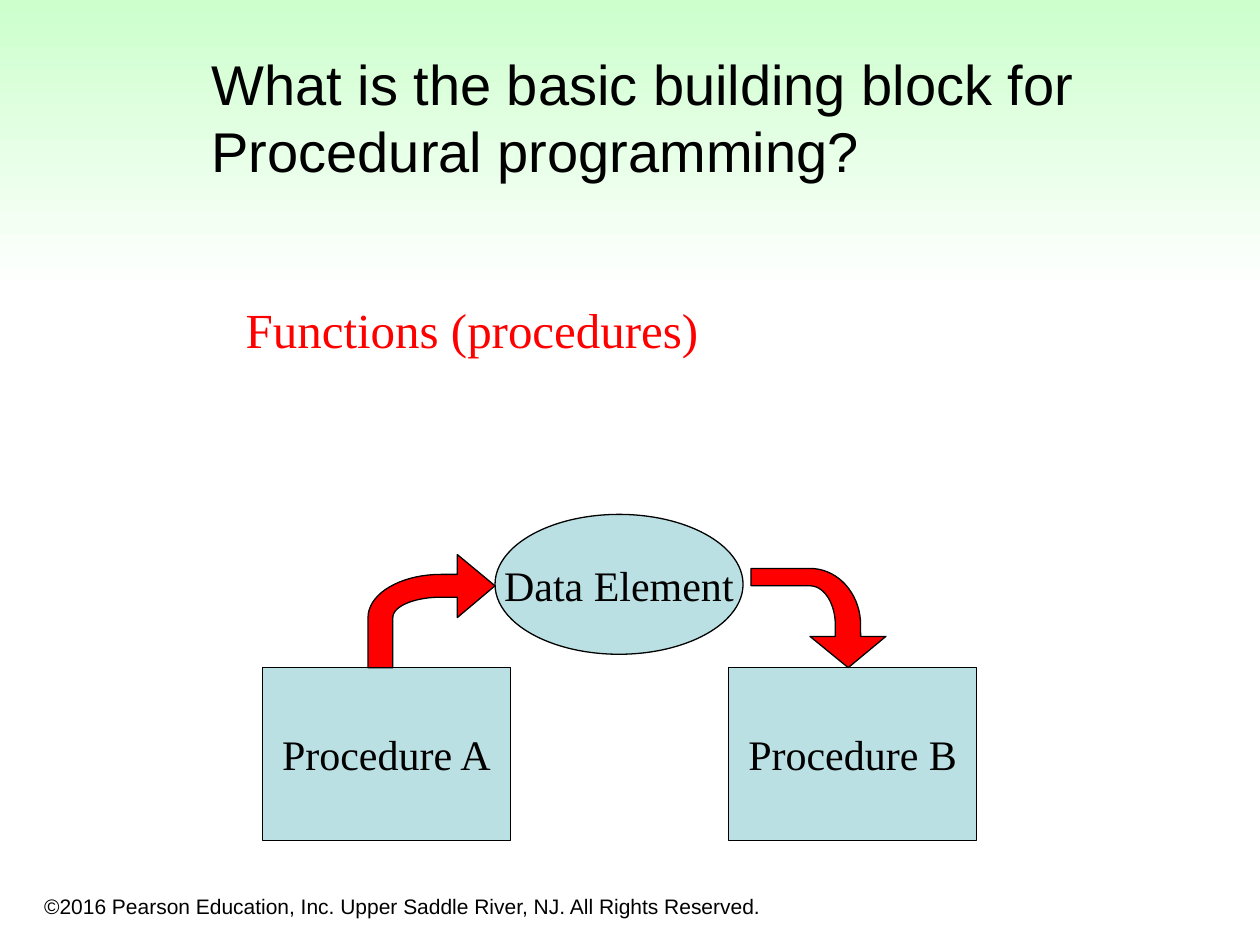
from dataclasses import dataclass
from math import cos, radians, sin

from pptx import Presentation
from pptx.dml.color import RGBColor as RGB
from pptx.enum.shapes import MSO_SHAPE as Kind
from pptx.enum.text import MSO_ANCHOR as Anchor, MSO_AUTO_SIZE as Fit, PP_ALIGN as Align
from pptx.util import Cm, Pt

Point = tuple[float, float]


@dataclass(frozen=True)
class Theme:
    ink: RGB = RGB(0, 0, 0)
    node: RGB = RGB(0xBB, 0xE0, 0xE3)
    red: RGB = RGB(0xFF, 0, 0)
    mint: RGB = RGB(0xCC, 0xFF, 0xCC)
    white: RGB = RGB(0xFF, 0xFF, 0xFF)
    sans: str = "Arial"
    serif: str = "Times New Roman"
    title: int = 32
    answer: int = 28
    label: int = 24
    foot: int = 12
    line: float = 0.75


@dataclass(frozen=True)
class Box:
    """A place on the slide, in centimetres."""
    left: float
    top: float
    width: float
    height: float

    def cm(self) -> tuple:
        return Cm(self.left), Cm(self.top), Cm(self.width), Cm(self.height)


@dataclass(frozen=True)
class Node:
    text: str
    kind: Kind
    box: Box


LOOK = Theme()
NODES = [
    Node("Procedure A", Kind.RECTANGLE, Box(5.29, 13.46, 5, 3.48)),
    Node("Data Element", Kind.OVAL, Box(9.98, 10.37, 5, 2.82)),
    Node("Procedure B", Kind.RECTANGLE, Box(14.69, 13.46, 5, 3.48)),
]


def style(frame, text: str, font: str, size: int, color: RGB,
          align=Align.LEFT, anchor=Anchor.MIDDLE, wrap: bool = True) -> None:
    frame.text = text
    frame.auto_size = Fit.NONE
    frame.word_wrap = wrap
    frame.vertical_anchor = anchor
    for para in frame.paragraphs:
        para.alignment = align
        for run in para.runs:
            run.font.name = font
            run.font.size = Pt(size)
            run.font.color.rgb = color


def paint(shape, color: RGB) -> None:
    shape.shadow.inherit = False
    shape.fill.solid()
    shape.fill.fore_color.rgb = color
    shape.line.color.rgb = LOOK.ink
    shape.line.width = Pt(LOOK.line)


def add_band(slide) -> None:
    """Put the fading band behind everything else."""
    band = slide.shapes.add_shape(Kind.RECTANGLE, *Box(0, 0, 25.4, 5.9).cm())
    band.shadow.inherit = False
    band.line.fill.background()
    band.fill.gradient()
    band.fill.gradient_angle = 270
    for stop, color in zip(band.fill.gradient_stops, (LOOK.mint, LOOK.white)):
        stop.color.rgb = color
    slide.shapes._spTree.insert(2, band._element)


def add_node(group, node: Node) -> None:
    shape = group.shapes.add_shape(node.kind, *node.box.cm())
    paint(shape, LOOK.node)
    style(shape.text_frame, node.text, LOOK.serif, LOOK.label, LOOK.ink,
          Align.CENTER, wrap=False)


def arc(mid: Point, rx: float, ry: float, start: int, end: int) -> list[Point]:
    """Points on an ellipse, with angles in degrees from the right, upwards."""
    steps = 18
    turns = [radians(start + (end - start) * i / steps) for i in range(steps + 1)]
    return [(mid[0] + rx * cos(t), mid[1] - ry * sin(t)) for t in turns]


def add_arrow(group, points: list[Point]) -> None:
    first, *rest = [(Cm(x), Cm(y)) for x, y in points]
    pen = group.shapes.build_freeform(*first)
    pen.add_line_segments(rest, close=True)
    paint(pen.convert_to_shape(), LOOK.red)


def add_note(slide, box: Box, text: str, *args, **opts) -> None:
    style(slide.shapes.add_textbox(*box.cm()).text_frame, text, *args, **opts)


def main() -> None:
    deck = Presentation()
    deck.slide_width, deck.slide_height = Cm(25.4), Cm(19.05)
    slide = deck.slides.add_slide(deck.slide_layouts[5])
    add_band(slide)

    title = slide.shapes.title
    title.left, title.top, title.width, title.height = Box(4.01, 1.07, 19.89, 2.77).cm()
    style(title.text_frame,
          "What is the basic building block for\nProcedural programming?",
          LOOK.sans, LOOK.title, LOOK.ink, anchor=Anchor.BOTTOM)

    group = slide.shapes.add_group_shape()
    for node in NODES:
        add_node(group, node)

    bend = (8.89, 12.45)
    add_arrow(group, [
        (9.98, 11.81), (9.22, 11.18), (9.22, 11.58),
        *arc(bend, 1.47, 0.87, 90, 180),
        (7.42, 13.46), (7.92, 13.46),
        *arc(bend, 0.97, 0.41, 180, 90),
        (9.22, 12.04), (9.22, 12.45),
    ])
    bend = (16.33, 12.6)
    add_arrow(group, [
        (17.1, 13.46), (17.86, 12.83), (17.35, 12.83),
        *arc(bend, 1.02, 1.14, 0, 90),
        (15.14, 11.46), (15.14, 11.81),
        *arc(bend, 0.51, 0.79, 90, 0),
        (16.84, 12.83), (16.33, 12.83),
    ])

    add_note(slide, Box(4.65, 5.92, 9.73, 1.45), "Functions (procedures)",
             LOOK.serif, LOOK.answer, LOOK.red, Align.CENTER, Anchor.TOP, wrap=False)
    add_note(slide, Box(0.64, 17.58, 15.44, 1.07),
             "©2016 Pearson Education, Inc. Upper Saddle River, NJ. All Rights Reserved.",
             LOOK.sans, LOOK.foot, LOOK.ink, anchor=Anchor.BOTTOM)
    deck.save("out.pptx")


if __name__ == "__main__":
    main()
